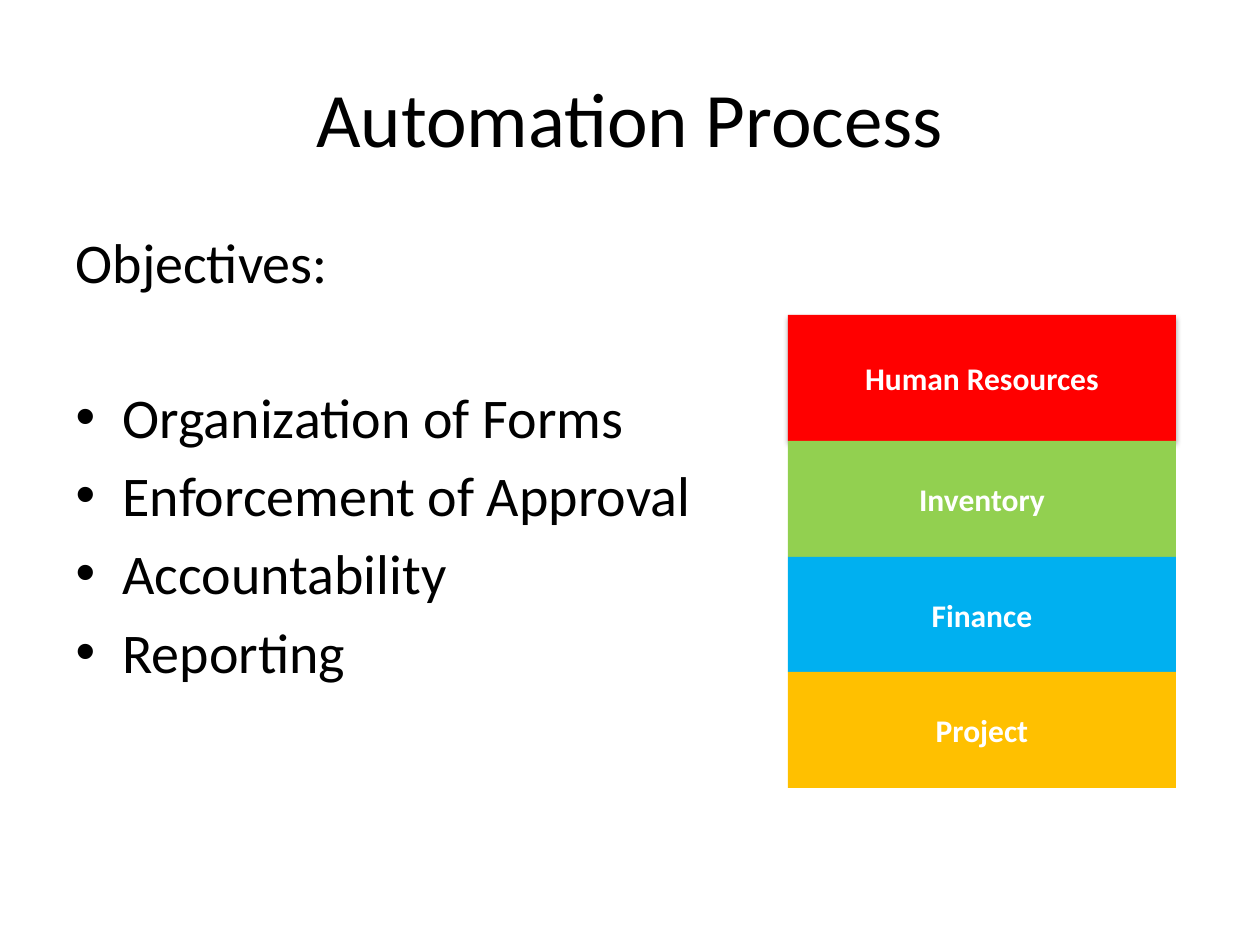
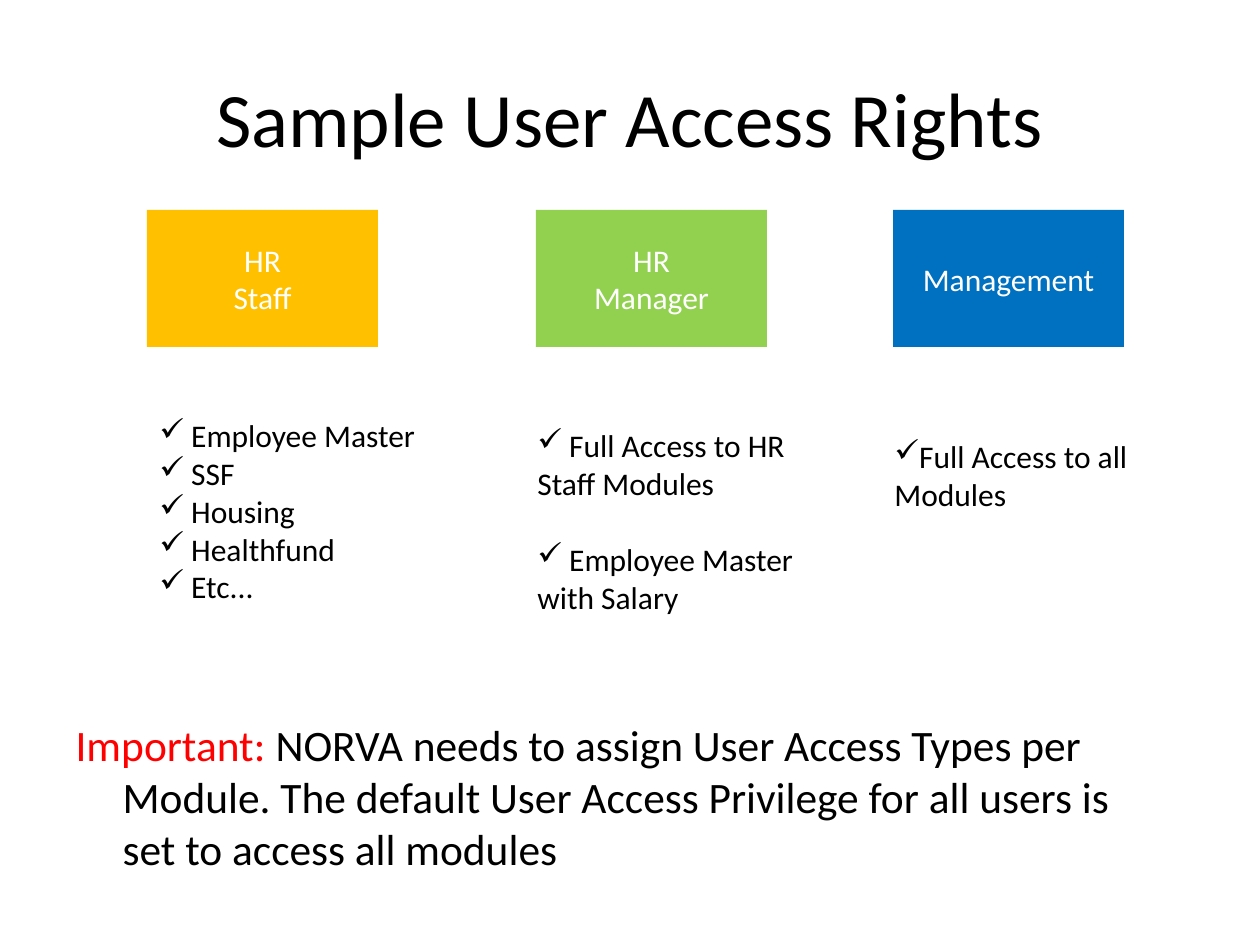
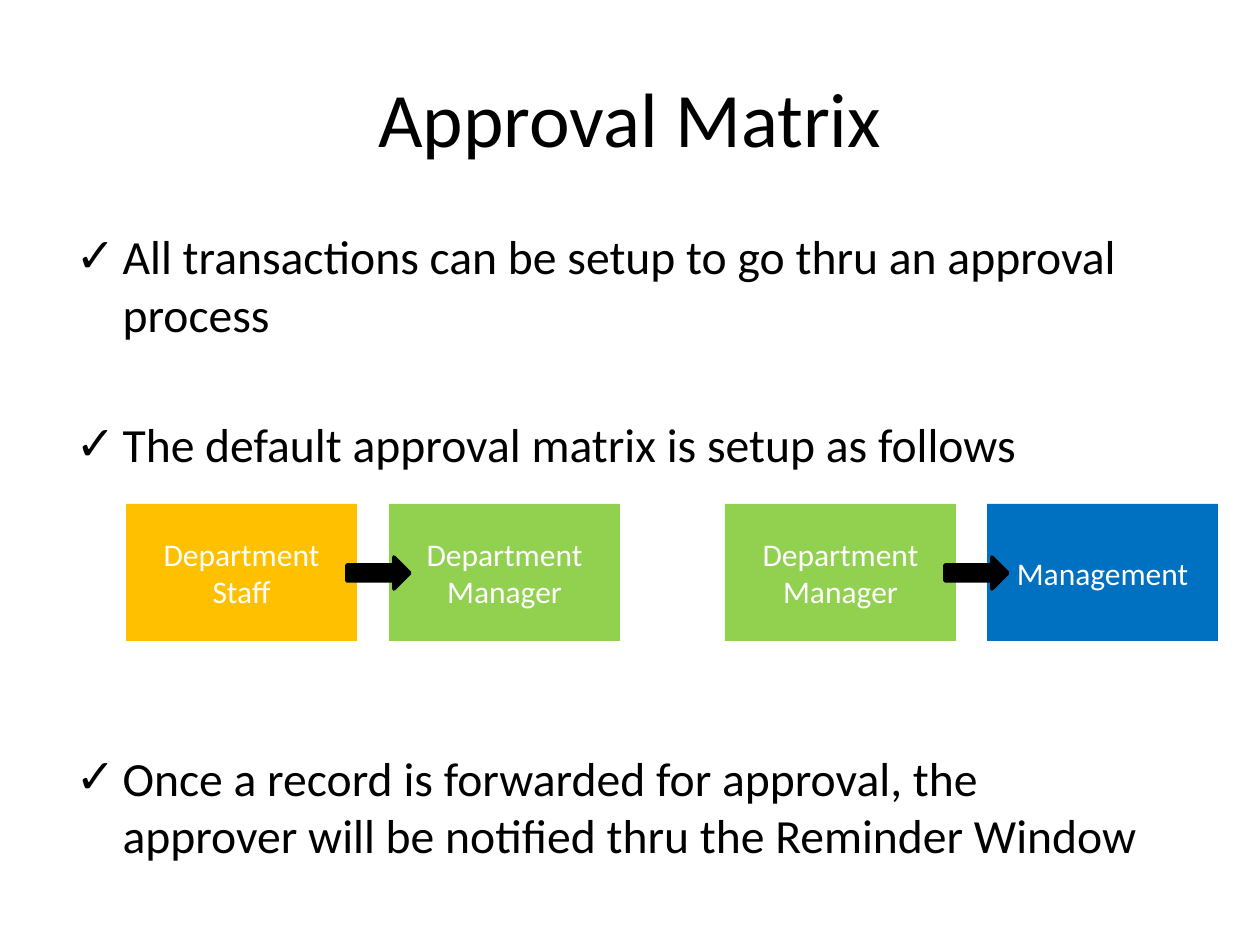
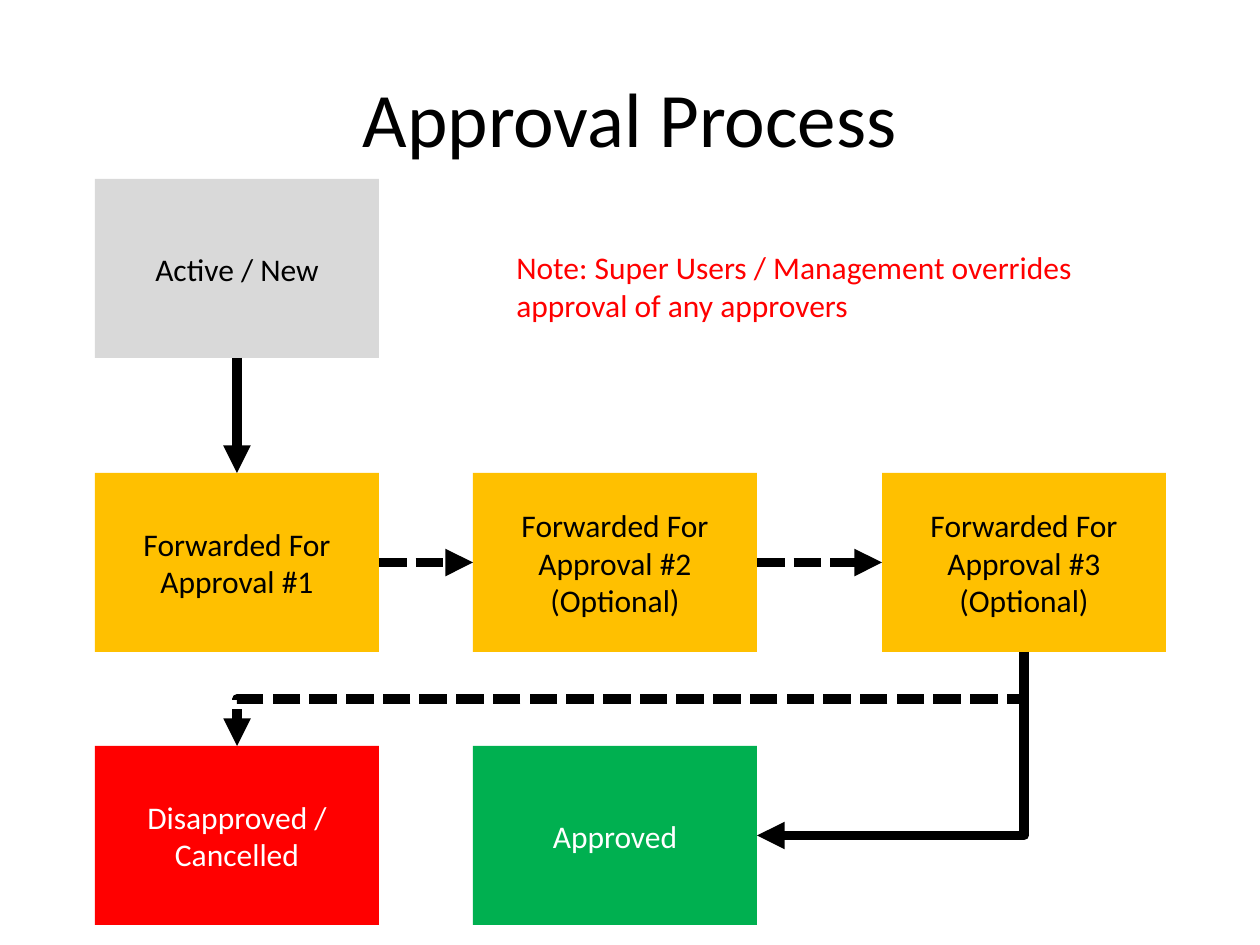
from dataclasses import dataclass
from lxml.etree import SubElement
from pptx import Presentation
from pptx.dml.color import RGBColor
from pptx.enum.dml import MSO_LINE
from pptx.enum.shapes import MSO_CONNECTOR, MSO_SHAPE
from pptx.enum.text import MSO_ANCHOR, MSO_AUTO_SIZE, PP_ALIGN
from pptx.oxml.ns import qn
from pptx.util import Emu, Pt


@dataclass(frozen=True)
class Theme:
    """Colours, font and type sizes of the deck."""
    font: str = "Calibri"
    black: str = "000000"
    white: str = "FFFFFF"
    red: str = "FF0000"
    lime: str = "92D050"
    green: str = "00B050"
    sky: str = "00B0F0"
    blue: str = "0070C0"
    gold: str = "FFC000"
    grey: str = "D9D9D9"
    head: float = 44
    list: float = 32
    point: float = 27.2
    note: float = 24.8
    text: float = 18


def px(num):
    """Turn picture pixels into EMU."""
    return Emu(round(num * 914400 / 126))


class Deck:
    """Holds the theme and the current slide and draws its elements."""
    DOT, TICK = "\u2022", "\u2713"
    TOP, LEFT, BOTTOM, RIGHT = range(4)

    def __init__(self, theme):
        """Start an empty deck."""
        self.theme = theme
        self.file = Presentation()
        self.file.slide_width, self.file.slide_height = px(1260), px(945)

    def place(self, shape, area):
        """Move a shape to a pixel area."""
        shape.left, shape.top, shape.width, shape.height = map(px, area)

    def style(self, para, size, tint, bold=False):
        """Format every run of a paragraph."""
        for run in para.runs:
            font = run.font
            font.name, font.size, font.bold = self.theme.font, Pt(size), bold
            font.color.rgb = RGBColor.from_string(tint)

    def mark(self, para, sign, hang=0):
        """Give a paragraph a bullet sign, or none, and a hanging indent."""
        props = para._p.get_or_add_pPr()
        props.set("marL", str(px(hang)))
        props.set("indent", str(-px(hang)))
        if sign:
            SubElement(props, qn("a:buChar")).set("char", sign)
        else:
            SubElement(props, qn("a:buNone"))

    def page(self, title, body=True):
        """Add a slide with a title."""
        layout = self.file.slide_layouts[1 if body else 5]
        self.slide = self.file.slides.add_slide(layout)
        head = self.slide.shapes.title
        self.place(head, (63, 38, 1134, 157))
        head.text_frame.text = title
        head.text_frame.vertical_anchor = MSO_ANCHOR.MIDDLE
        para = head.text_frame.paragraphs[0]
        para.alignment = PP_ALIGN.CENTER
        self.style(para, self.theme.head, self.theme.black)

    def fill(self, frame, rows, size, tint, hang=0):
        """Write rows of sign, gap before in points, and text."""
        frame.word_wrap = True
        frame.auto_size = MSO_AUTO_SIZE.NONE
        frame.text = "\n".join(row[2] for row in rows)
        for para, (sign, gap, _) in zip(frame.paragraphs, rows):
            self.mark(para, sign, hang)
            if gap:
                para.space_before = Pt(gap)
            self.style(para, size, tint)

    def body(self, area, rows, size):
        """Fill the body placeholder with a list."""
        shape = self.slide.placeholders[1]
        self.place(shape, area)
        self.fill(shape.text_frame, rows, size, self.theme.black, 47)
        return shape.text_frame

    def label(self, area, rows, tint):
        """Add a text box."""
        shape = self.slide.shapes.add_textbox(*map(px, area))
        self.fill(shape.text_frame, rows, self.theme.text, tint)

    def solid(self, kind, area, tint):
        """Add a filled shape without line or shadow."""
        shape = self.slide.shapes.add_shape(kind, *map(px, area))
        shape.shadow.inherit = False
        shape.fill.solid()
        shape.fill.fore_color.rgb = RGBColor.from_string(tint)
        shape.line.fill.background()
        return shape

    def box(self, area, text, tint, ink=None, bold=False):
        """Add a rectangle with centred text."""
        shape = self.solid(MSO_SHAPE.RECTANGLE, area, tint)
        frame = shape.text_frame
        frame.word_wrap = True
        frame.vertical_anchor = MSO_ANCHOR.MIDDLE
        frame.text = text
        for para in frame.paragraphs:
            para.alignment = PP_ALIGN.CENTER
            self.style(para, self.theme.text, ink or self.theme.white, bold)
        return shape

    def shade(self, shape):
        """Give a shape a soft shadow below."""
        effect = shape._element.spPr.find(qn("a:effectLst"))
        outer = SubElement(effect, qn("a:outerShdw"), blurRad="40000",
                           dist="23000", dir="5400000", rotWithShape="0")
        tint = SubElement(outer, qn("a:srgbClr"), val=self.theme.black)
        SubElement(tint, qn("a:alpha"), val="35000")

    def arrow(self, area):
        """Add a black block arrow."""
        shape = self.solid(MSO_SHAPE.RIGHT_ARROW, area, self.theme.black)
        shape.line.color.rgb = RGBColor.from_string(self.theme.black)
        shape.line.width = Pt(2)

    def link(self, start, out, end, into, dash=False, bend=None):
        """Join two boxes with an arrow, bent downwards first if asked."""
        kind = MSO_CONNECTOR.ELBOW if bend else MSO_CONNECTOR.STRAIGHT
        line = self.slide.shapes.add_connector(kind, 0, 0, 0, 0)
        line.begin_connect(start, out)
        line.end_connect(end, into)
        props = line._element.spPr
        if bend:
            left, top, wide, high = line.left, line.top, line.width, line.height
            shift = (wide - high) // 2
            line.left, line.top = left + shift, top - shift
            line.width, line.height = high, wide
            frame = props.find(qn("a:xfrm"))
            for flip in ("flipH", "flipV"):
                frame.attrib.pop(flip, None)
            frame.set("rot", "5400000")
            props.find(qn("a:prstGeom")).set("prst", bend)
        line.line.color.rgb = RGBColor.from_string(self.theme.black)
        line.line.width = Pt(5.25)
        if dash:
            line.line.dash_style = MSO_LINE.SQUARE_DOT
        SubElement(props.find(qn("a:ln")), qn("a:tailEnd"), type="triangle")
        SubElement(props, qn("a:effectLst"))


def goals(deck):
    """Build the slide of objectives."""
    look, dot = deck.theme, deck.DOT
    deck.page("Automation Process")
    deck.body((63, 221, 683, 624), [
        (None, 0, "Objectives:"),
        (dot, 50, "Organization of Forms"),
        (dot, 0, "Enforcement of Approval"),
        (dot, 0, "Accountability"),
        (dot, 0, "Reporting")], look.list)
    edges = [315, 441, 557, 672, 788]
    units = [("Human Resources", look.red), ("Inventory", look.lime),
             ("Finance", look.sky), ("Project", look.gold)]
    stack = [deck.box((788, top, 388, low - top), name, tint, bold=True)
             for top, low, (name, tint) in zip(edges, edges[1:], units)]
    deck.shade(stack[0])


def rights(deck):
    """Build the slide of access rights."""
    look, tick = deck.theme, deck.TICK
    deck.page("Sample User Access Rights")
    frame = deck.body((63, 651, 1113, 193), [(None, 0, "Important: ")], look.note)
    frame.margin_top, frame.margin_bottom = px(67), 0
    para = frame.paragraphs[0]
    para.add_run().text = (
        "NORVA needs to assign User Access Types per Module. The default User "
        "Access Privilege for all users is set to access all modules")
    deck.style(para, look.note, look.black)
    para.runs[0].font.color.rgb = RGBColor.from_string(look.red)
    roles = [(147, "HR\nStaff", look.gold), (536, "HR\nManager", look.lime),
             (893, "Management", look.blue)]
    for left, name, tint in roles:
        deck.box((left, 210, 231, 137), name, tint)
    staff = ["Employee Master", "SSF", "Housing", "Healthfund", "Etc..."]
    lists = [
        ((147, 410, 305, 242), [(tick, 0, f" {name}") for name in staff]),
        ((525, 420, 305, 280), [(tick, 0, " Full Access to HR Staff Modules"),
                                (tick, 22, " Employee Master with Salary")]),
        ((882, 431, 305, 165), [(tick, 0, "Full Access to all Modules")])]
    for area, rows in lists:
        deck.label(area, rows, look.black)


def matrix(deck):
    """Build the slide of the approval matrix."""
    look, tick = deck.theme, deck.TICK
    deck.page("Approval Matrix")
    deck.body((63, 221, 1113, 624), [
        (tick, 0, "All transactions can be setup to go thru an approval process"),
        (tick, 42, "The default approval matrix is setup as follows"),
        (tick, 158, "Once a record is forwarded for approval, the approver will "
                    "be notified thru the Reminder Window")], look.point)
    steps = [(126, "Department\nStaff", look.gold),
             (389, "Department\nManager", look.lime),
             (725, "Department\nManager", look.lime),
             (987, "Management", look.blue)]
    for left, name, tint in steps:
        deck.box((left, 504, 231, 137), name, tint)
    for left in (347, 945):
        deck.arrow((left, 557, 63, 32))


def process(deck):
    """Build the slide of the approval flow."""
    look = deck.theme
    deck.page("Approval Process", body=False)
    cols, rows = (95, 473, 882), (179, 473, 746)

    def node(col, row, text, tint, ink):
        """Add a box on the flow grid."""
        return deck.box((cols[col], rows[row], 284, 179), text, tint, ink)

    fail = node(0, 2, "Disapproved / Cancelled", look.red, look.white)
    new = node(0, 0, "Active / New", look.grey, look.black)
    done = node(1, 2, "Approved", look.green, look.white)
    first, second, third = [
        node(col, 1, f"Forwarded For Approval #{col + 1}{more}", look.gold, look.black)
        for col, more in enumerate(("", "\n(Optional)", "\n(Optional)"))]
    deck.link(new, deck.BOTTOM, first, deck.TOP)
    deck.link(first, deck.RIGHT, second, deck.LEFT, dash=True)
    deck.link(second, deck.RIGHT, third, deck.LEFT, dash=True)
    deck.link(third, deck.BOTTOM, done, deck.RIGHT, bend="bentConnector2")
    deck.link(third, deck.BOTTOM, fail, deck.TOP, dash=True, bend="bentConnector3")
    deck.label((504, 242, 640, 90), [
        (None, 0, "Note: Super Users / Management overrides approval of any "
                  "approvers")], look.red)


def main():
    """Build and save the deck."""
    deck = Deck(Theme())
    for build in (goals, rights, matrix, process):
        build(deck)
    deck.file.save("out.pptx")


main()
